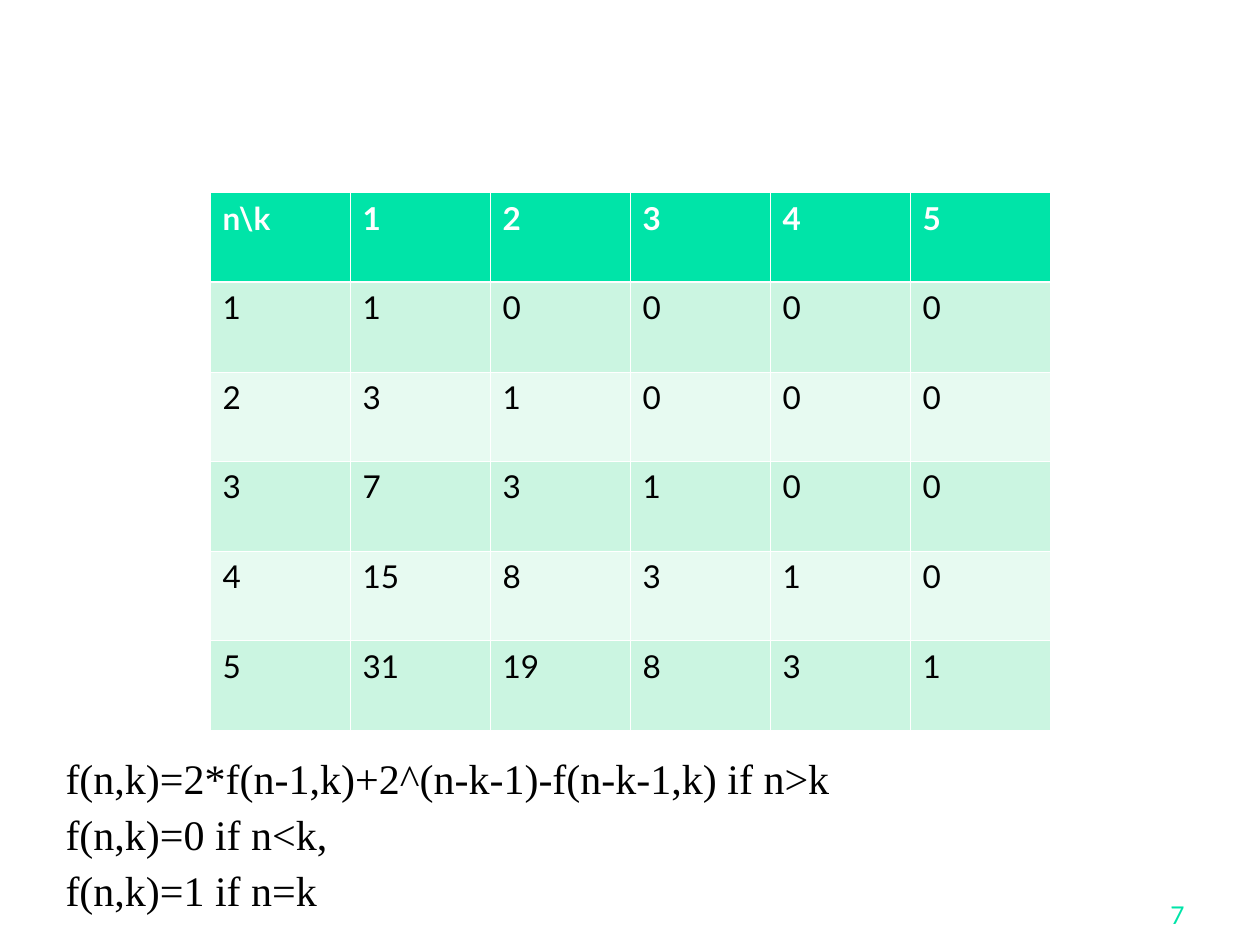
from lxml.etree import SubElement
from pptx import Presentation
from pptx.dml.color import RGBColor
from pptx.enum.text import MSO_ANCHOR as Anchor, MSO_AUTO_SIZE as AutoSize, PP_ALIGN as Align
from pptx.oxml.ns import qn
from pptx.util import Inches, Pt

GREEN = RGBColor(0x00, 0xE4, 0xA8)
MINT = RGBColor(0xCB, 0xF5, 0xE1)
PALE = RGBColor(0xE7, 0xFA, 0xF1)
WHITE = RGBColor(0xFF, 0xFF, 0xFF)
BLACK = RGBColor(0x00, 0x00, 0x00)

VALUES = [
    ["n\\k", 1, 2, 3, 4, 5],
    [1, 1, 0, 0, 0, 0],
    [2, 3, 1, 0, 0, 0],
    [3, 7, 3, 1, 0, 0],
    [4, 15, 8, 3, 1, 0],
    [5, 31, 19, 8, 3, 1],
]
RECURRENCE = [
    "f(n,k)=2*f(n-1,k)+2^(n-k-1)-f(n-k-1,k) if n>k",
    "f(n,k)=0 if n<k,",
    "f(n,k)=1 if n=k",
]


def style(font, name, size, color, bold=False):
    font.name, font.size, font.bold = name, Pt(size), bold
    font.color.rgb = color


def draw_borders(cell, widths):
    properties = cell._tc.get_or_add_tcPr()
    for side, width in zip("LRTB", widths):
        line = SubElement(properties, qn(f"a:ln{side}"), w=str(Pt(width)))
        fill = SubElement(line, qn("a:solidFill"))
        SubElement(fill, qn("a:srgbClr"), val=str(WHITE))


def add_values(slide, left, top, width, height):
    rows, columns = len(VALUES), len(VALUES[0])
    grid = slide.shapes.add_table(rows, columns, left, top, width, height).table
    for r, numbers in enumerate(VALUES):
        header = r == 0
        for c, number in enumerate(numbers):
            cell = grid.cell(r, c)
            draw_borders(cell, (0.45, 0.45, 1.47 if r == 1 else 0.45, 1.47 if header else 0.45))
            cell.fill.solid()
            cell.fill.fore_color.rgb = GREEN if header else MINT if r % 2 else PALE
            cell.text_frame.text = str(number)
            run = cell.text_frame.paragraphs[0].runs[0]
            style(run.font, "Lato", 18, WHITE if header else BLACK, header)


def add_recurrence(slide, left, top, width, height):
    formulas = slide.placeholders[1]
    formulas.left, formulas.top, formulas.width, formulas.height = left, top, width, height
    frame = formulas.text_frame
    frame.text = "\n".join(RECURRENCE)
    frame.auto_size = AutoSize.NONE
    for i, paragraph in enumerate(frame.paragraphs):
        paragraph.line_spacing = 0.9
        paragraph.space_before = Pt(6 if i else 0)
        properties = paragraph._p.get_or_add_pPr()
        properties.set("marL", "0")
        properties.set("indent", "0")
        SubElement(properties, qn("a:buNone"))
        style(paragraph.runs[0].font, "Times New Roman", 24, BLACK)


def add_page_number(slide, left, top, width, height):
    frame = slide.shapes.add_textbox(left, top, width, height).text_frame
    frame.word_wrap = True
    frame.vertical_anchor = Anchor.BOTTOM
    frame.text = "7"
    paragraph = frame.paragraphs[0]
    paragraph.alignment = Align.RIGHT
    style(paragraph.runs[0].font, "Lato", 14, GREEN)


def main():
    deck = Presentation()
    deck.slide_width, deck.slide_height = Inches(10), Inches(7.5)
    wide, high = deck.slide_width, deck.slide_height
    slide = deck.slides.add_slide(deck.slide_layouts[1])
    title = slide.shapes.title.element
    title.getparent().remove(title)

    add_page_number(slide, int(wide * 0.742), int(high * 0.923), int(wide * 0.208), int(high / 15))
    add_values(slide, wide // 6, int(high * 0.204), wide * 2 // 3, int(high * 0.569))
    add_recurrence(slide, int(wide * 0.042), int(high * 0.796), int(wide * 0.908), int(high * 0.204))
    deck.save("out.pptx")


if __name__ == "__main__":
    main()
